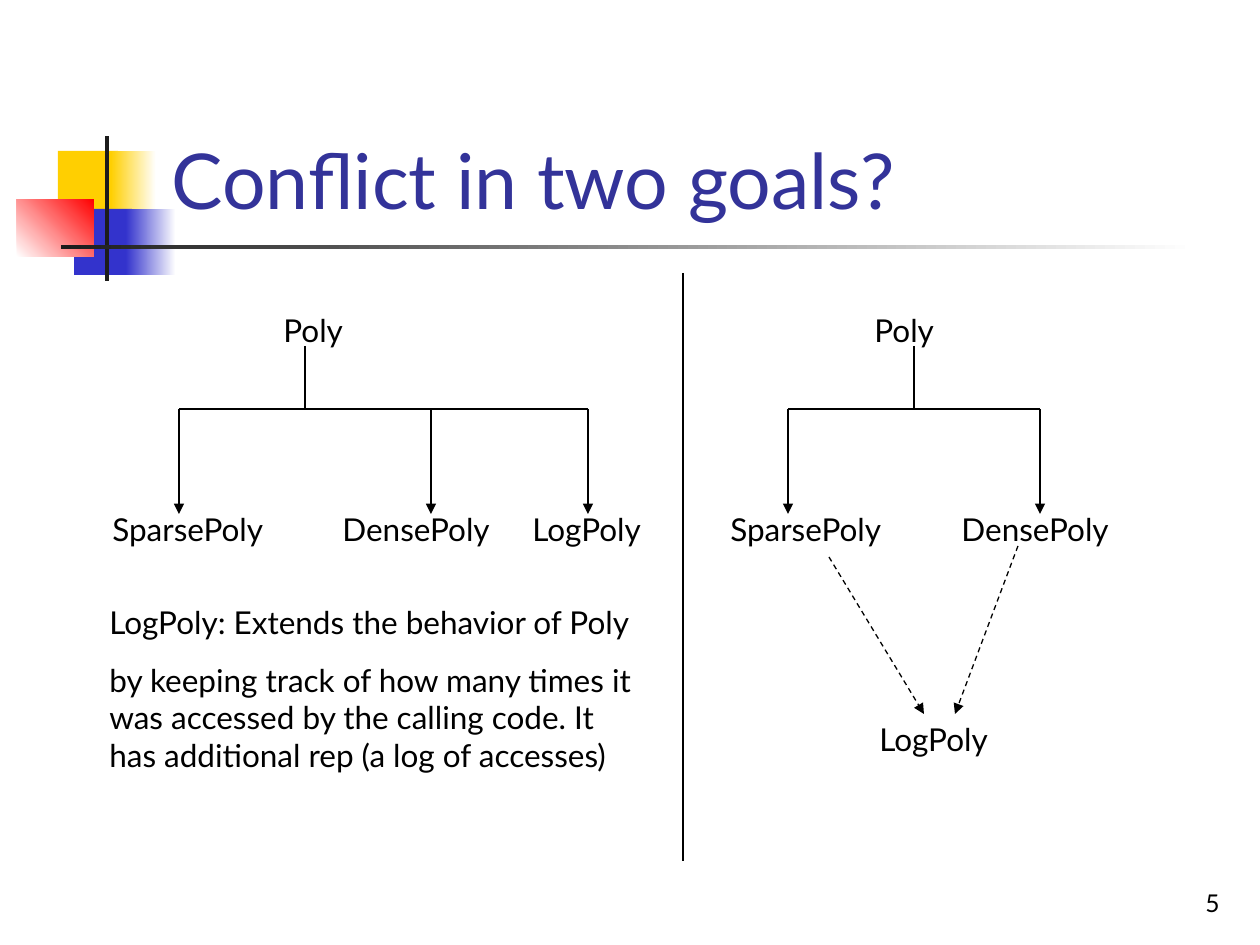
import pptx
import pptx.util
import pptx.dml.color
import pptx.enum.dml
import pptx.enum.shapes
import pptx.enum.text
import pptx.oxml
import pptx.oxml.ns
from pptx.enum.text import MSO_ANCHOR, MSO_AUTO_SIZE, PP_ALIGN

PX_PER_INCH = 126
THEME = {
    "font": "Lato",
    "ink": "000000", "title": "333399", "white": "FFFFFF",
    "yellow": "FFCF01", "blue": "3333CC", "red": "FF0000", "bar": "1C1C1C",
    "title_pt": 44, "body_pt": 18, "number_pt": 14,
    "thin": 0.75, "thick": 1.5,
}

TITLE = ("Conflict in two goals?", (159, 29, 1074, 202))
NUMBER = ("5", (970, 861, 262, 63))
NOTE = (["LogPoly: Extends the behavior of Poly",
         "by keeping track of how many times it was accessed by the calling code. "
         "It has additional rep (a log of accesses)"], (97, 597, 553, 260))

# box, colours (two make a gradient), angle
DECOR = [
    ((58, 151, 60, 66), ["yellow"], 0),
    ((111, 151, 45, 66), ["yellow", "white"], 0),
    ((74, 209, 58, 66), ["blue"], 0),
    ((126, 209, 50, 66), ["blue", "white"], 0),
    ((17, 199, 77, 58), ["white", "red"], 45),
    ((105, 136, 4, 145), ["bar"], 0),
    ((61, 245, 1134, 4), ["bar", "white"], 0),
]

LABEL_WIDTH = {"Poly": 87, "SparsePoly": 188, "DensePoly": 180, "LogPoly": 142}
LABEL_H = 50
ROOT_Y, CHILD_Y, MERGE_Y = 305, 504, 714
LABELS = [
    ("Poly", 271, ROOT_Y), ("SparsePoly", 100, CHILD_Y),
    ("DensePoly", 330, CHILD_Y), ("LogPoly", 520, CHILD_Y),
    ("Poly", 862, ROOT_Y), ("SparsePoly", 718, CHILD_Y),
    ("DensePoly", 949, CHILD_Y), ("LogPoly", 867, MERGE_Y),
]

# root x, child xs
TREES = [(305, [179, 431, 588]), (914, [788, 1040])]
STEM_Y, BUS_Y, TIP_Y = 346, 409, 514
DIVIDER = (683, 273, 683, 861)
MERGES = [(829, 557, 924, 714), (1018, 546, 955, 714)]


def px(n):
    return pptx.util.Emu(round(n * 914400 / PX_PER_INCH))


def rgb(name):
    return pptx.dml.color.RGBColor.from_string(THEME[name])


def set_all(obj, values):
    for key, value in values.items():
        setattr(obj, key, value)


def fill_text(tf, lines, size, color="ink", para=None, **frame):
    set_all(tf, frame)
    for i, line in enumerate(lines):
        p = tf.add_paragraph() if i else tf.paragraphs[0]
        set_all(p, para or {})
        r = p.add_run()
        r.text = line
        set_all(r.font, {"name": THEME["font"], "size": pptx.util.Pt(THEME[size])})
        r.font.color.rgb = rgb(color)


def add_text(s, box, lines, size, **fmt):
    sp = s.shapes.add_textbox(*map(px, box))
    fill_text(sp.text_frame, lines, size, **fmt)


def add_block(s, box, colors, angle):
    sp = s.shapes.add_shape(pptx.enum.shapes.MSO_SHAPE.RECTANGLE, *map(px, box))
    sp.shadow.inherit = False
    sp.line.fill.background()
    if len(colors) == 1:
        sp.fill.solid()
        sp.fill.fore_color.rgb = rgb(colors[0])
        return
    sp.fill.gradient()
    sp.fill.gradient_angle = angle
    for stop, color in zip(sp.fill.gradient_stops, colors):
        stop.color.rgb = rgb(color)


def add_line(s, ends, width="thin", arrow=False, dashed=False):
    sp = s.shapes.add_connector(pptx.enum.shapes.MSO_CONNECTOR.STRAIGHT, *map(px, ends))
    sp.line.color.rgb = rgb("ink")
    sp.line.width = pptx.util.Pt(THEME[width])
    if dashed:
        sp.line.dash_style = pptx.enum.dml.MSO_LINE.DASH
    if arrow:
        tail = pptx.oxml.parse_xml(
            f'<a:tailEnd {pptx.oxml.ns.nsdecls("a")} type="triangle"/>')
        sp.line._get_or_add_ln().append(tail)
    props = sp._element.spPr
    props.append(pptx.oxml.parse_xml(f'<a:effectLst {pptx.oxml.ns.nsdecls("a")}/>'))


def add_tree(s, root, children):
    add_line(s, (root, STEM_Y, root, BUS_Y))
    for left, right in zip(children, children[1:]):
        add_line(s, (left, BUS_Y, right, BUS_Y))
    for x in children:
        add_line(s, (x, BUS_Y, x, TIP_Y), arrow=True)


def main():
    prs = pptx.Presentation()
    prs.slide_width, prs.slide_height = pptx.util.Inches(10), pptx.util.Inches(7.5)
    s = prs.slides.add_slide(prs.slide_layouts[5])

    for block in DECOR:
        add_block(s, *block)

    text, box = TITLE
    title = s.shapes.title
    set_all(title, dict(zip(("left", "top", "width", "height"), map(px, box))))
    fill_text(title.text_frame, [text], "title_pt", "title",
              para={"alignment": PP_ALIGN.LEFT}, word_wrap=True,
              vertical_anchor=MSO_ANCHOR.BOTTOM, auto_size=MSO_AUTO_SIZE.NONE)
    s.shapes._spTree.append(title._element)  # in front of the blocks

    text, box = NUMBER
    add_text(s, box, [text], "number_pt", para={"alignment": PP_ALIGN.RIGHT},
             word_wrap=True, vertical_anchor=MSO_ANCHOR.BOTTOM)
    for text, x, y in LABELS:
        add_text(s, (x, y, LABEL_WIDTH[text], LABEL_H), [text], "body_pt",
                 word_wrap=False, auto_size=MSO_AUTO_SIZE.SHAPE_TO_FIT_TEXT)
    lines, box = NOTE
    add_text(s, box, lines, "body_pt", para={"space_before": pptx.util.Pt(11.2)},
             word_wrap=True, auto_size=MSO_AUTO_SIZE.SHAPE_TO_FIT_TEXT)

    add_line(s, DIVIDER, "thick")
    for tree in TREES:
        add_tree(s, *tree)
    for ends in MERGES:
        add_line(s, ends, arrow=True, dashed=True)

    prs.save("out.pptx")


if __name__ == "__main__":
    main()
